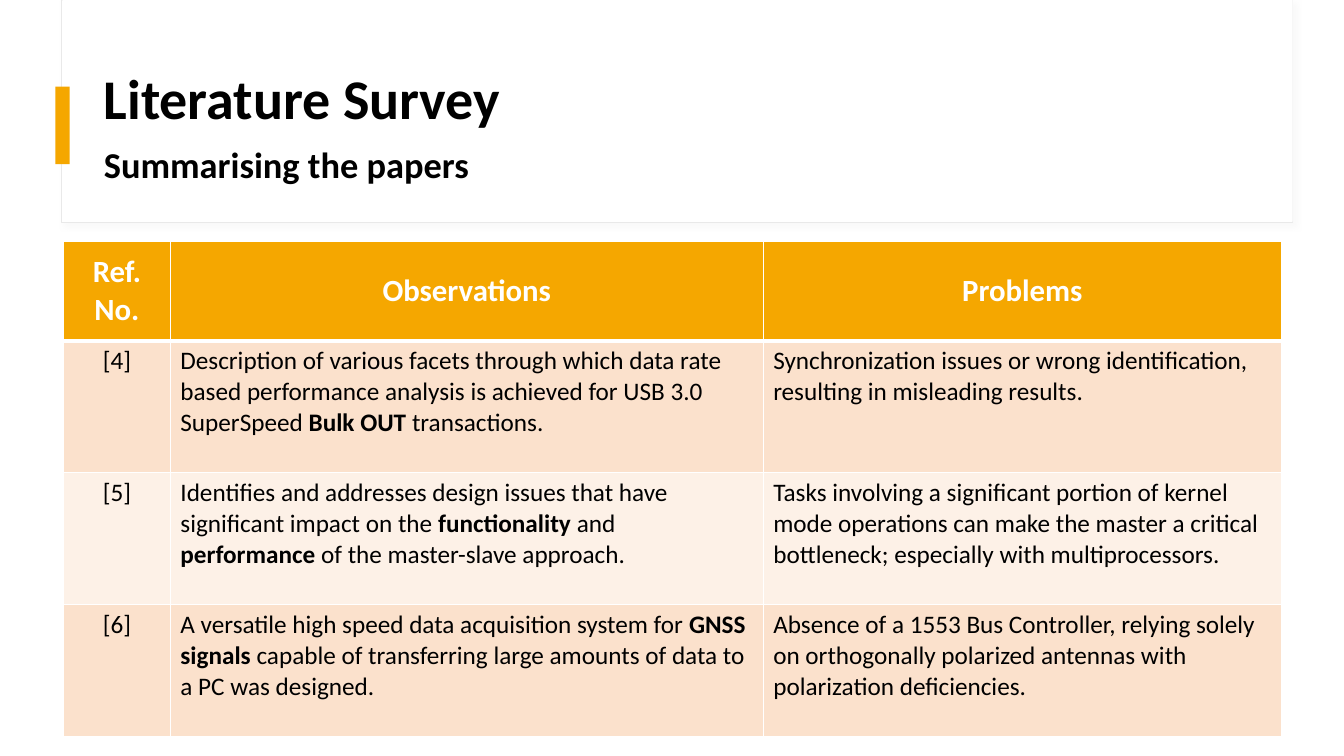
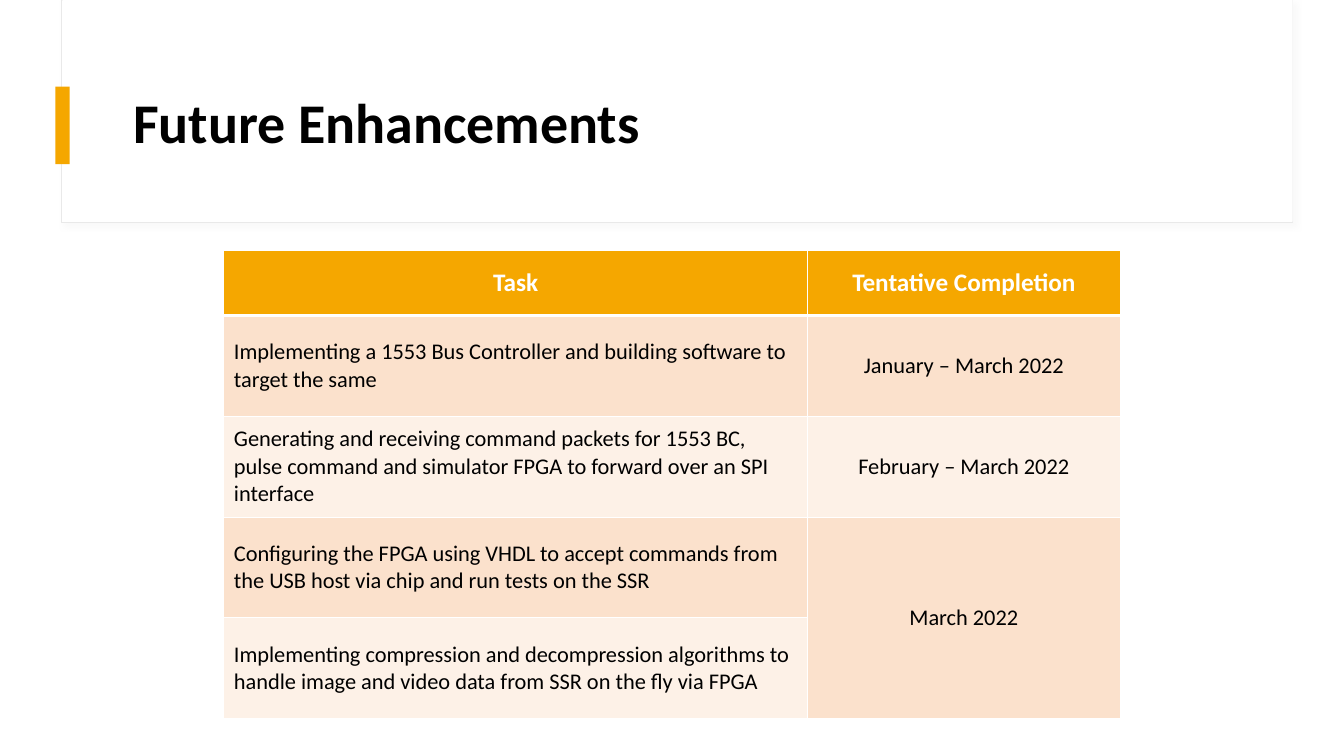
import pptx
import pptx.dml.color
import pptx.enum.shapes
import pptx.enum.text
import pptx.oxml
import pptx.oxml.ns
import pptx.util

Inches = pptx.util.Inches
Pt = pptx.util.Pt
ALIGN = pptx.enum.text.PP_ALIGN
ANCHOR = pptx.enum.text.MSO_ANCHOR

COLORS = {
    "white": "FFFFFF",
    "black": "000000",
    "accent": "F5A700",
    "frame": "E9E9E9",
    "shadow": "D9D9D9",
    "band_dark": "FBE1CC",
    "band_light": "FDF1E7",
}
FONT = "Calibri"
TITLE_ONLY = 5

SURVEY = [
    ["Ref. No.", "Observations", "Problems"],
    ["[4]",
     "Description of various facets through which data rate based performance "
     "analysis is achieved for USB 3.0 SuperSpeed **Bulk OUT **transactions.",
     "Synchronization issues or wrong identification, resulting in misleading results."],
    ["[5]",
     "Identifies and addresses design issues that have significant impact on the "
     "**functionality** and **performance** of the master-slave approach.",
     "Tasks involving a significant portion of kernel mode operations can make the "
     "master a critical bottleneck; especially with multiprocessors."],
    ["[6]",
     "A versatile high speed data acquisition system for **GNSS signals **capable of "
     "transferring large amounts of data to a PC was designed.",
     "Absence of a 1553 Bus Controller, relying solely on orthogonally polarized "
     "antennas with polarization deficiencies."],
]
SCHEDULE = [
    ["Task", "Tentative Completion"],
    ["Implementing a 1553 Bus Controller and building software to target the same",
     "January – March 2022"],
    ["Generating and receiving command packets for 1553 BC, pulse command and "
     "simulator FPGA to forward over an SPI interface",
     "February – March 2022"],
    ["Configuring the FPGA using VHDL to accept commands from the USB host via chip "
     "and run tests on the SSR",
     "March 2022"],
    ["Implementing compression and decompression algorithms to handle image and "
     "video data from SSR on the fly via FPGA",
     ""],
]


def rgb(name):
    """Return the named palette colour."""
    return pptx.dml.color.RGBColor.from_string(COLORS[name])


def add_runs(paragraph, text, size, color, bold=False):
    """Add text run by run; parts between ** marks are bold."""
    for index, part in enumerate(text.split("**")):
        if part:
            run = paragraph.add_run()
            run.text = part
            run.font.name = FONT
            run.font.size = Pt(size)
            run.font.bold = bold or index % 2 == 1
            run.font.color.rgb = rgb(color)


def add_box(slide, left, top, width, height, fill, line=None):
    """Add a plain rectangle without shadow."""
    box = slide.shapes.add_shape(
        pptx.enum.shapes.MSO_SHAPE.RECTANGLE,
        Inches(left), Inches(top), Inches(width), Inches(height))
    box.shadow.inherit = False
    box.fill.solid()
    box.fill.fore_color.rgb = rgb(fill)
    if line:
        box.line.color.rgb = rgb(line)
        box.line.width = Pt(0.75)
    else:
        box.line.fill.background()
    return box


def add_soft_shadow(box):
    """Give a box a faint shadow towards the lower right."""
    effects = box.element.spPr.find(pptx.oxml.ns.qn("a:effectLst"))
    effects.append(pptx.oxml.parse_xml(
        f'<a:outerShdw {pptx.oxml.ns.nsdecls("a")} blurRad="{Pt(4)}" dist="{Pt(3)}" '
        f'dir="2700000" algn="tl" rotWithShape="0"><a:srgbClr val="{COLORS["shadow"]}">'
        '<a:alpha val="15000"/></a:srgbClr></a:outerShdw>'))


def add_header_panel(slide):
    """Draw the framed panel and the accent bar behind the title."""
    frame = add_box(slide, 0.61, 0, 12.21, 2.21, "white", "frame")
    add_soft_shadow(frame)
    add_box(slide, 0.62, 0, 12.2, 2.2, "white")
    add_box(slide, 0.55, 0.86, 0.14, 0.77, "accent")


def write_heading(shape, text, left, top, size):
    """Place and format a title or a heading box."""
    shape.left, shape.top = Inches(left), Inches(top)
    shape.width, shape.height = Inches(11.12), Inches(1.29)
    frame = shape.text_frame
    frame.word_wrap = True
    frame.auto_size = pptx.enum.text.MSO_AUTO_SIZE.NONE
    frame.vertical_anchor = ANCHOR.MIDDLE
    paragraph = frame.paragraphs[0]
    paragraph.alignment = ALIGN.LEFT
    paragraph.line_spacing = 0.9
    add_runs(paragraph, text, size, "black", True)


def add_titled_slide(deck, title, left, top, size):
    """Add a slide with the header panel and its title in front."""
    slide = deck.slides.add_slide(deck.slide_layouts[TITLE_ONLY])
    add_header_panel(slide)
    heading = slide.shapes.title
    heading.element.getparent().append(heading.element)
    write_heading(heading, title, left, top, size)
    return slide


def set_borders(cell, top, bottom):
    """Set white cell borders, one point wide at the sides."""
    properties = cell._tc.get_or_add_tcPr()
    widths = {"lnL": 1, "lnR": 1, "lnT": top, "lnB": bottom}
    for index, (side, width) in enumerate(widths.items()):
        properties.insert(index, pptx.oxml.parse_xml(
            f'<a:{side} {pptx.oxml.ns.nsdecls("a")} w="{Pt(width)}"><a:solidFill>'
            f'<a:srgbClr val="{COLORS["white"]}"/></a:solidFill></a:{side}>'))


def add_banded_table(slide, left, top, widths, heights, rows, sizes, centered, anchor):
    """Add a table with an accent header and alternating row bands."""
    table = slide.shapes.add_table(
        len(rows), len(widths), Inches(left), Inches(top),
        Inches(sum(widths)), Inches(sum(heights))).table
    for column, width in zip(table.columns, widths):
        column.width = Inches(width)
    header_size, body_size = sizes
    for r, texts in enumerate(rows):
        table.rows[r].height = Inches(heights[r])
        header = r == 0
        band = "accent" if header else "band_dark" if r % 2 else "band_light"
        for c, text in enumerate(texts):
            cell = table.cell(r, c)
            cell.fill.solid()
            cell.fill.fore_color.rgb = rgb(band)
            set_borders(cell, 3 if r == 1 else 1, 3 if header else 1)
            cell.vertical_anchor = ANCHOR.MIDDLE if header else anchor
            paragraph = cell.text_frame.paragraphs[0]
            paragraph.alignment = ALIGN.CENTER if header or c == centered else ALIGN.LEFT
            add_runs(paragraph, text, header_size if header else body_size,
                     "white" if header else "black", header)
    return table


def build_survey(deck):
    """Build the literature survey slide."""
    slide = add_titled_slide(deck, "Summarising the papers", 0.93, 1.01, 26)
    heading = slide.shapes.add_textbox(0, 0, 0, 0)
    write_heading(heading, "Literature Survey", 0.93, 0.36, 40)
    add_banded_table(slide, 0.63, 2.39, [1.06, 5.88, 5.14], [0.99] + [1.31] * 3,
                     SURVEY, (22, 18), 0, ANCHOR.TOP)


def build_schedule(deck):
    """Build the future enhancements slide."""
    slide = add_titled_slide(deck, "Future Enhancements", 1.22, 0.6, 40)
    schedule = add_banded_table(slide, 2.22, 2.48, [5.79, 3.1], [0.65] + [1] * 4,
                                SCHEDULE, (18, 16), 1, ANCHOR.MIDDLE)
    schedule.cell(3, 1).merge(schedule.cell(4, 1))


def main():
    """Build and save the deck."""
    deck = pptx.Presentation()
    deck.slide_width, deck.slide_height = Inches(13.33), Inches(7.5)
    build_survey(deck)
    build_schedule(deck)
    deck.save("out.pptx")


main()
